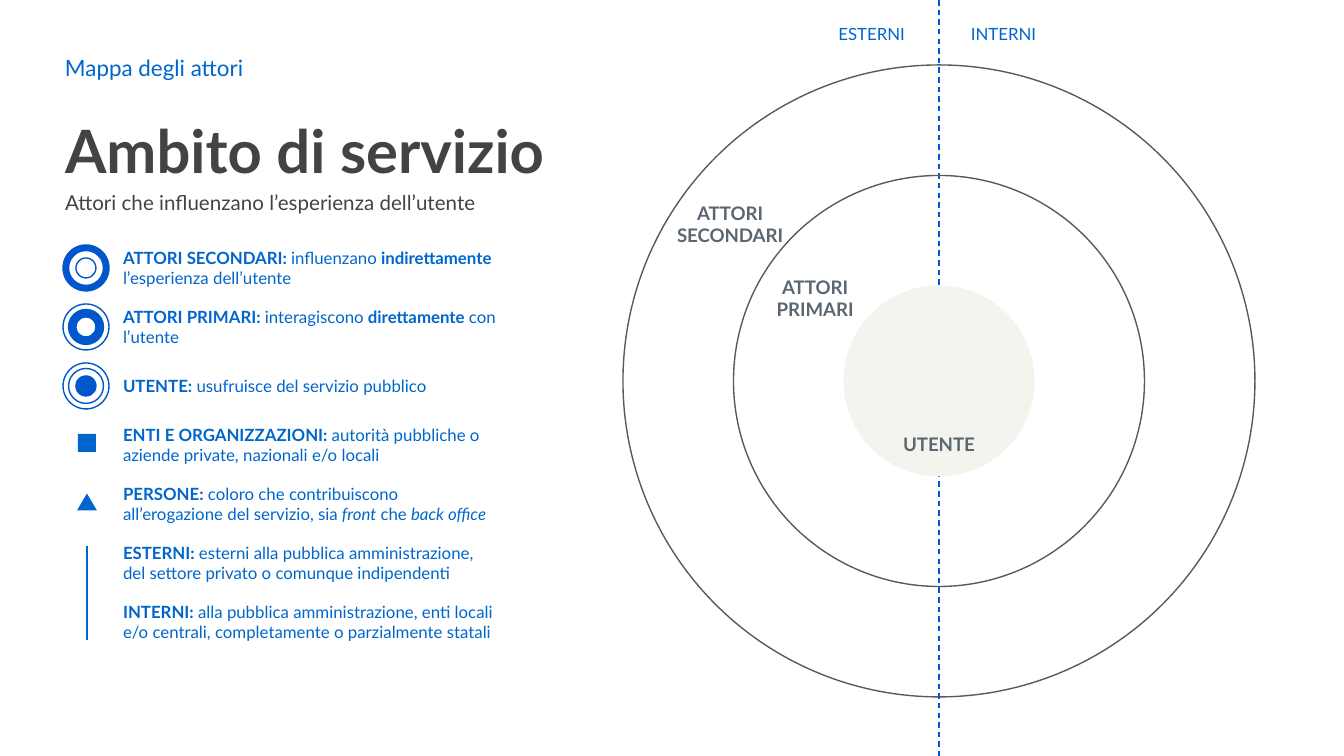
from dataclasses import dataclass

from lxml import etree
from pptx import Presentation
from pptx.dml.color import RGBColor
from pptx.enum.dml import MSO_LINE
from pptx.enum.shapes import MSO_CONNECTOR, MSO_SHAPE
from pptx.enum.text import MSO_ANCHOR, MSO_AUTO_SIZE, PP_ALIGN
from pptx.oxml.ns import qn
from pptx.util import Pt

LEFT, CENTER, RIGHT = PP_ALIGN.LEFT, PP_ALIGN.CENTER, PP_ALIGN.RIGHT
TOP, MIDDLE = MSO_ANCHOR.TOP, MSO_ANCHOR.MIDDLE
OVAL, SQUARE, TRIANGLE = MSO_SHAPE.OVAL, MSO_SHAPE.RECTANGLE, MSO_SHAPE.ISOSCELES_TRIANGLE


@dataclass(frozen=True)
class Theme:
    font: str = "Lato"
    blue: str = "0066CC"
    ring_blue: str = "0056CB"
    dark: str = "434343"
    outline: str = "595959"
    label: str = "5A6772"
    core: str = "F4F4EF"
    white: str = "FFFFFF"
    title_size: int = 32
    kicker_size: int = 12
    subtitle_size: int = 11
    label_size: int = 10
    legend_size: int = 9
    line_width: float = 0.75


THEME = Theme()

# Content
KICKER = "Mappa degli attori"
TITLE = "Ambito di servizio"
SUBTITLE = "Attori che influenzano l’esperienza dell’utente"

# Each entry is a list of (text, style): "b" bold, "i" italic, "" plain.
LEGEND = [
    [("ATTORI SECONDARI:", "b"), (" influenzano ", ""), ("indirettamente", "b"),
     (" l’esperienza dell’utente", "")],
    [("ATTORI PRIMARI:", "b"), (" interagiscono ", ""), ("direttamente", "b"),
     (" con l’utente", "")],
    [("UTENTE:", "b"), (" usufruisce del servizio pubblico", "")],
    [("ENTI E ORGANIZZAZIONI:", "b"),
     (" autorità pubbliche o aziende private, nazionali e/o locali", "")],
    [("PERSONE:", "b"),
     (" coloro che contribuiscono all’erogazione del servizio, sia ", ""),
     ("front", "i"), (" che ", ""), ("back office", "i")],
    [("ESTERNI:", "b"),
     (" esterni alla pubblica amministrazione, del settore privato o comunque indipendenti", "")],
    [("INTERNI:", "b"),
     (" alla pubblica amministrazione, enti locali e/o centrali, "
      "completamente o parzialmente statali", "")],
]
# text, centre x, centre y, line spacing
RING_LABELS = [
    ("UTENTE", 939, 442, 1.15),
    ("ATTORI PRIMARI", 815, 298, 1),
    ("ATTORI SECONDARI", 730, 224, 1),
]
SIDE_LABELS = [("ESTERNI", 711, RIGHT), ("INTERNI", 958, LEFT)]

# Layout in px
PX_PER_INCH = 134.4
SLIDE_W, SLIDE_H = 1344, 756
INSET = 13
MARGIN = 52
ROW_H = 42
LEGEND_TEXT_X, LEGEND_TEXT_W = 110, 402
LEGEND_Y, LEGEND_PITCH = 268, 59
ICON_X = 86
ICON_RINGS = (46, 35, 20)
MAP_X, MAP_Y = 939, 381
SECONDARY_D, PRIMARY_D, USER_D = 632, 411, 191
LABEL_W, LABEL_H = 146, 55
SIDE_LABEL_Y, SIDE_LABEL_W = 13, 207


def px(length):
    return round(length * 914400 / PX_PER_INCH)


def rgb(color):
    return RGBColor.from_string(color)


def write(holder, runs, size, color, align=LEFT, anchor=MIDDLE, spacing=1):
    """Fill a text box or placeholder with styled runs."""
    frame = holder.text_frame
    frame.word_wrap = True
    frame.auto_size = MSO_AUTO_SIZE.NONE
    frame.vertical_anchor = anchor
    frame.margin_left = frame.margin_right = px(INSET)
    frame.margin_top = frame.margin_bottom = px(INSET)
    paragraph = frame.paragraphs[0]
    paragraph.alignment = align
    paragraph.line_spacing = spacing
    paragraph.space_before = Pt(0)
    for text, style in runs:
        run = paragraph.add_run()
        run.text = text
        run.font.name = THEME.font
        run.font.size = Pt(size)
        run.font.color.rgb = rgb(color)
        run.font.bold = style == "b"
        run.font.italic = style == "i"


def place(holder, x, y, w, h):
    holder.left, holder.top, holder.width, holder.height = map(px, (x, y, w, h))


def add_text(shapes, box, *args, **options):
    write(shapes.add_textbox(*map(px, box)), *args, **options)


def add_centred(shapes, kind, cx, cy, w, h, fill=None, line=None):
    shape = shapes.add_shape(kind, px(cx - w / 2), px(cy - h / 2), px(w), px(h))
    shape.shadow.inherit = False
    if fill:
        shape.fill.solid()
        shape.fill.fore_color.rgb = rgb(fill)
    else:
        shape.fill.background()
    if line:
        shape.line.color.rgb = rgb(line)
        shape.line.width = Pt(THEME.line_width)
    else:
        shape.line.fill.background()


def add_vertical(shapes, x, top, bottom, color):
    line = shapes.add_connector(MSO_CONNECTOR.STRAIGHT, px(x), px(top), px(x), px(bottom))
    line.line.color.rgb = rgb(color)
    line.line.width = Pt(THEME.line_width)
    etree.SubElement(line.line._get_or_add_ln().getparent(), qn("a:effectLst"))
    return line


def add_heading(slide):
    place(slide.shapes.title, MARGIN, 122, 511, 55)
    write(slide.shapes.title, [(TITLE, "b")], THEME.title_size, THEME.dark)
    subtitle = slide.placeholders[1]
    place(subtitle, MARGIN, 177, 465, 46)
    write(subtitle, [(SUBTITLE, "")], THEME.subtitle_size, THEME.dark, anchor=TOP)
    add_text(slide.shapes, (MARGIN, 47, 570, ROW_H), [(KICKER, "")],
             THEME.kicker_size, THEME.blue)


def add_legend(shapes):
    centres = [LEGEND_Y + row * LEGEND_PITCH for row in range(len(LEGEND))]
    for runs, cy in zip(LEGEND, centres):
        add_text(shapes, (LEGEND_TEXT_X, cy - ROW_H / 2, LEGEND_TEXT_W, ROW_H),
                 runs, THEME.legend_size, THEME.blue)
    # The first three icons each highlight one ring, from the outside in.
    for highlighted, cy in enumerate(centres[:len(ICON_RINGS)]):
        icon = shapes.add_group_shape().shapes
        for ring, diameter in enumerate(ICON_RINGS):
            fill = THEME.ring_blue if ring == highlighted else THEME.white
            add_centred(icon, OVAL, ICON_X, cy, diameter, diameter, fill, THEME.ring_blue)
    add_centred(shapes, SQUARE, ICON_X + 1, centres[3] - 2, 18, 18, THEME.blue)
    add_centred(shapes, TRIANGLE, ICON_X + 1, centres[4] - 2, 20, 17, THEME.blue)
    add_vertical(shapes, ICON_X + 1, centres[5] - 17, centres[6] + 18, THEME.blue)


def add_map(shapes):
    rings = shapes.add_group_shape().shapes
    add_centred(rings, OVAL, MAP_X, MAP_Y, SECONDARY_D, SECONDARY_D, line=THEME.outline)
    axis = add_vertical(rings, MAP_X, 0, SLIDE_H, THEME.ring_blue)
    axis.line.dash_style = MSO_LINE.DASH
    add_centred(rings, OVAL, MAP_X, MAP_Y, PRIMARY_D, PRIMARY_D, line=THEME.outline)
    add_centred(rings, OVAL, MAP_X, MAP_Y, USER_D, USER_D, fill=THEME.core)
    for text, x, align in SIDE_LABELS:
        add_text(rings, (x, SIDE_LABEL_Y, SIDE_LABEL_W, ROW_H), [(text, "")],
                 THEME.legend_size, THEME.blue, align=align)
    for text, cx, cy, spacing in RING_LABELS:
        add_text(shapes, (cx - LABEL_W / 2, cy - LABEL_H / 2, LABEL_W, LABEL_H),
                 [(text, "b")], THEME.label_size, THEME.label, align=CENTER, spacing=spacing)


def main():
    deck = Presentation()
    deck.slide_width, deck.slide_height = px(SLIDE_W), px(SLIDE_H)
    slide = deck.slides.add_slide(deck.slide_layouts[0])
    add_heading(slide)
    add_legend(slide.shapes)
    add_map(slide.shapes)
    deck.save("out.pptx")


if __name__ == "__main__":
    main()
